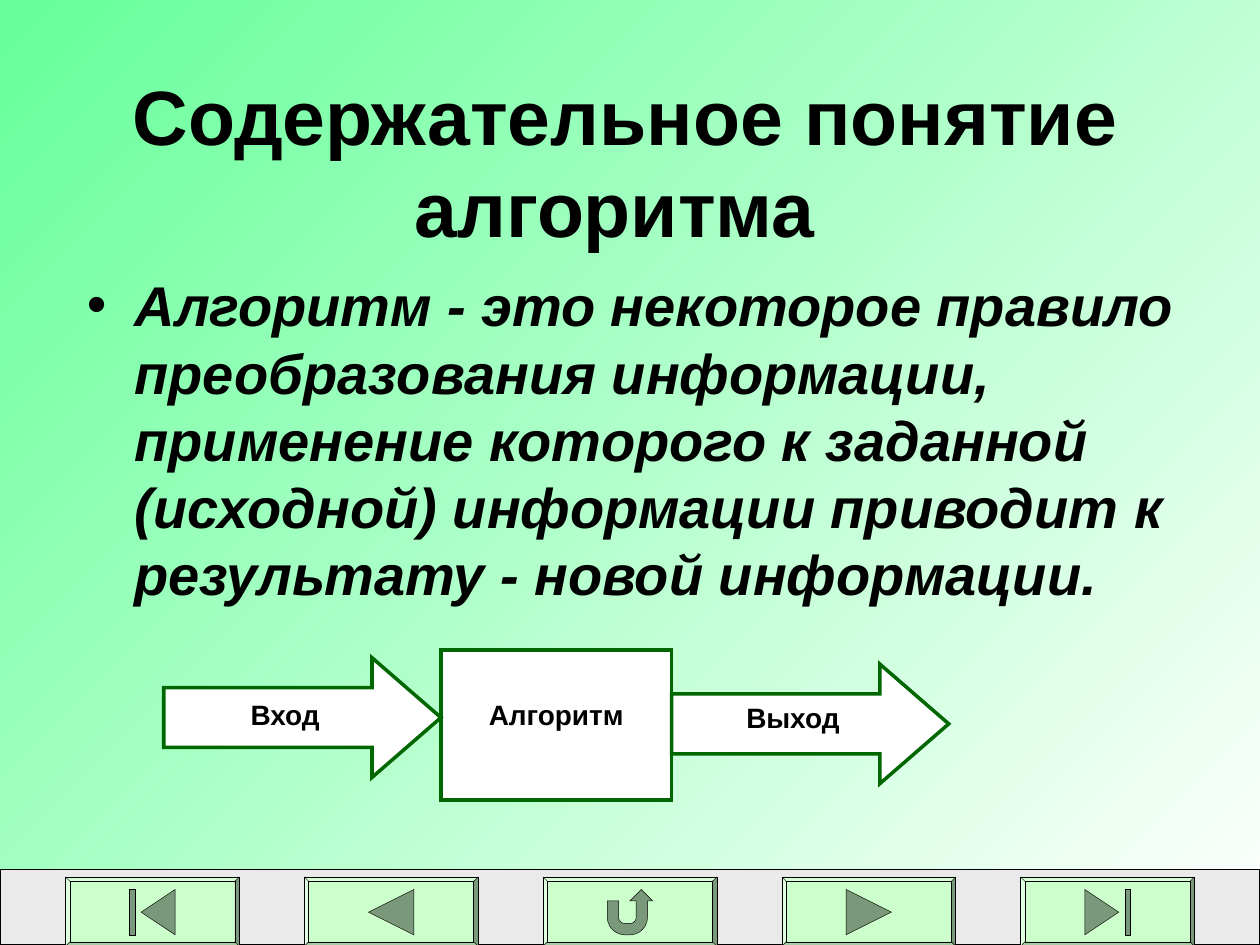
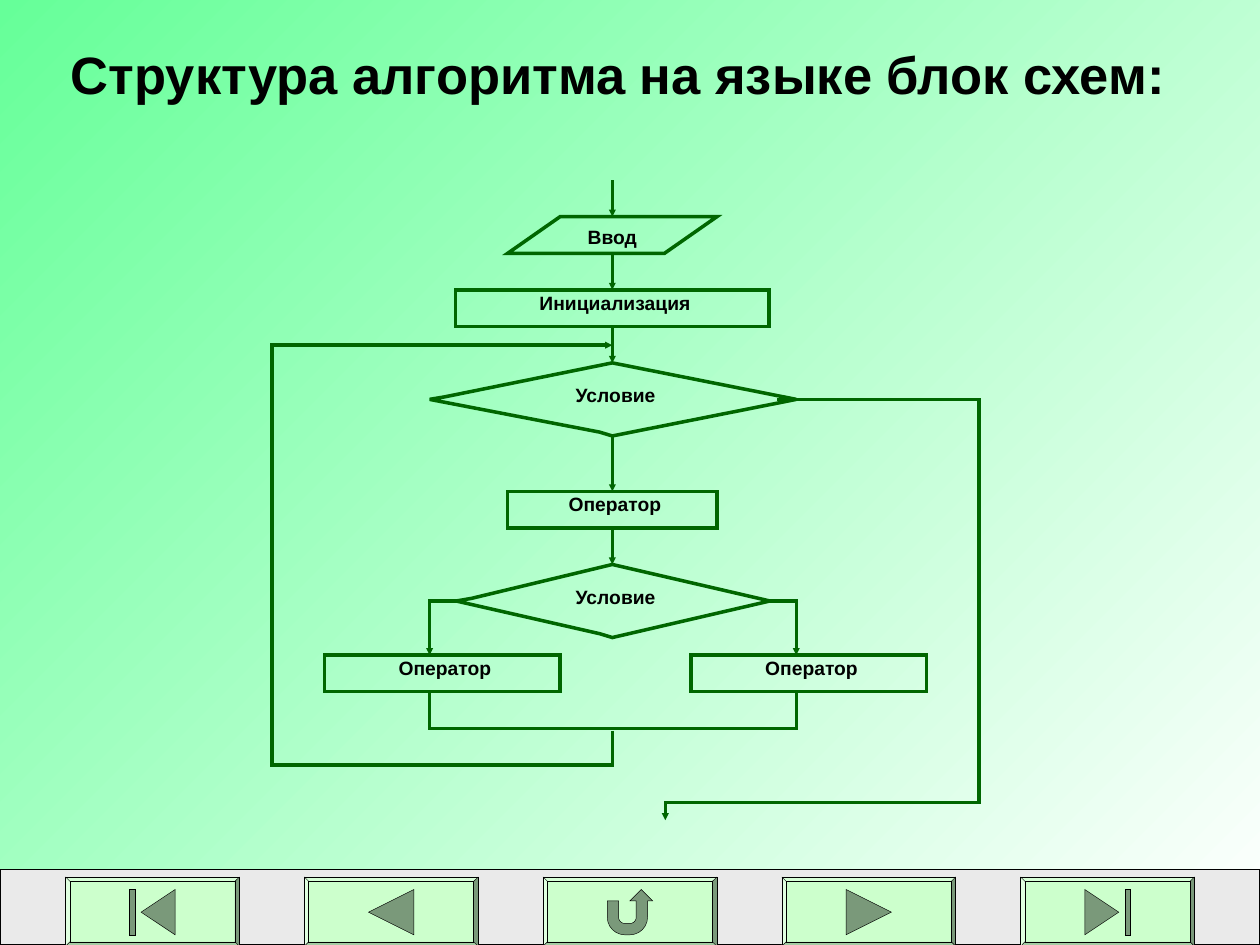
from math import cos, radians, sin

from lxml import etree
from pptx import Presentation
from pptx.dml.color import RGBColor
from pptx.enum.shapes import MSO_CONNECTOR, MSO_SHAPE
from pptx.enum.text import MSO_ANCHOR, PP_ALIGN
from pptx.oxml.ns import qn
from pptx.util import Inches, Pt

RECT = MSO_SHAPE.RECTANGLE
PARALLELOGRAM = MSO_SHAPE.PARALLELOGRAM
RIGHT_ARROW = MSO_SHAPE.RIGHT_ARROW
BEVEL = MSO_SHAPE.BEVEL
STRAIGHT = MSO_CONNECTOR.STRAIGHT
TOP = MSO_ANCHOR.TOP
MIDDLE = MSO_ANCHOR.MIDDLE
CENTER = PP_ALIGN.CENTER
LEFT = PP_ALIGN.LEFT

COLORS = {
    "black": "000000",
    "white": "FFFFFF",
    "mint": "66FF99",
    "outline": "006600",
    "band": "EAEAEA",
    "button": "CCFFCC",
    "icon": "7A997A",
}
AXIS = 4.86
BLOCK_HEIGHT = 0.29


def color(name):
    return RGBColor.from_string(COLORS[name])


def quarter_arc(x, y, radius, start, step):
    angles = [radians(start + step * i) for i in range(7)]
    return [(x + radius * cos(a), y + radius * sin(a)) for a in angles]


def mirrored(outlines):
    return [[(-x, y) for x, y in outline] for outline in outlines]


BACK = [[(-0.18, 0), (0.18, -0.18), (0.18, 0.18)]]
BEGINNING = [
    [(-0.09, 0), (0.18, -0.18), (0.18, 0.18)],
    [(-0.18, -0.18), (-0.14, -0.18), (-0.14, 0.18), (-0.18, 0.18)],
]
RETURN = [[
    (-0.18, -0.09), (-0.09, -0.09),
    *quarter_arc(-0.04, 0.04, 0.05, 180, -15),
    *quarter_arc(0, 0.04, 0.05, 90, -15),
    (0.05, -0.09), (0, -0.09), (0.09, -0.18), (0.18, -0.09), (0.14, -0.09),
    *quarter_arc(0, 0.04, 0.14, 0, 15),
    *quarter_arc(-0.04, 0.04, 0.14, 90, 15),
]]
NAVIGATION = [BEGINNING, BACK, RETURN, mirrored(BACK), mirrored(BEGINNING)]


class Deck:
    font = "Arial"
    stroke = 2

    def __init__(self):
        self.prs = Presentation()
        self.prs.slide_width = Inches(10)
        self.prs.slide_height = Inches(7.5)
        self.slide = None

    def new_slide(self, title, top, height, size):
        self.slide = self.prs.slides.add_slide(self.prs.slide_layouts[6])
        fill = self.slide.background.fill
        fill.gradient()
        fill.gradient_angle = 135
        for stop, name in zip(fill.gradient_stops, ("white", "mint")):
            stop.color.rgb = color(name)
        self.text_box((0.43, top, 9.07, height), [(title, size)], anchor=MIDDLE)
        self.navigation()

    def navigation(self):
        self.shape(RECT, (0, 6.9, 10, 0.6), "band", "black", 0.75)
        for i, outlines in enumerate(NAVIGATION):
            left = 0.52 + 1.895 * i
            self.shape(BEVEL, (left, 6.96, 1.38, 0.55), "button", "black", 0.25, [0.064])
            for outline in outlines:
                points = [(left + 0.69 + x, 7.24 + y) for x, y in outline]
                self.outline(points, True, "icon", "black", 0.25)

    def paint(self, shape, fill, line, width, arrow=False):
        shape.shadow.inherit = False
        if fill:
            shape.fill.solid()
            shape.fill.fore_color.rgb = color(fill)
        else:
            shape.fill.background()
        self.stroke_line(shape, line, width, arrow)

    def stroke_line(self, shape, line, width, arrow):
        shape.line.color.rgb = color(line)
        shape.line.width = Pt(width)
        ln = shape._element.spPr.find(qn("a:ln"))
        etree.SubElement(ln, qn("a:miter"), lim="800000")
        if arrow:
            etree.SubElement(ln, qn("a:tailEnd"), type="triangle", w="sm", len="sm")

    def shape(self, kind, box, fill=None, line="outline", width=stroke, adjustments=()):
        shape = self.slide.shapes.add_shape(kind, *map(Inches, box))
        for i, value in enumerate(adjustments):
            shape.adjustments[i] = value
        self.paint(shape, fill, line, width)
        return shape

    def outline(self, points, closed, fill=None, line="outline", width=stroke, arrow=False):
        corners = [(Inches(x), Inches(y)) for x, y in points]
        builder = self.slide.shapes.build_freeform(*corners[0])
        builder.add_line_segments(corners[1:], close=closed)
        self.paint(builder.convert_to_shape(), fill, line, width, arrow)

    def label(self, shape, runs, inset=(0.1, 0.05), align=CENTER, anchor=TOP, italic=False):
        frame = shape.text_frame
        frame.word_wrap = True
        frame.vertical_anchor = anchor
        frame.margin_left = frame.margin_right = Inches(inset[0])
        frame.margin_top = frame.margin_bottom = Inches(inset[1])
        paragraph = frame.paragraphs[0]
        paragraph.alignment = align
        for text, size, *font in runs:
            run = paragraph.add_run()
            run.text = text
            run.font.name = font[0] if font else self.font
            run.font.size = Pt(size)
            run.font.bold = True
            run.font.italic = italic
            run.font.color.rgb = color("black")
        return paragraph

    def text_box(self, box, runs, **style):
        return self.label(self.slide.shapes.add_textbox(*map(Inches, box)), runs, **style)

    def bulleted(self, box, text, size):
        paragraph = self.text_box(box, [(text, size)], align=LEFT, italic=True)
        paragraph.space_before = Pt(8)
        properties = paragraph._p.get_or_add_pPr()
        properties.set("marL", str(Inches(0.38)))
        properties.set("indent", str(Inches(-0.38)))
        etree.SubElement(properties, qn("a:buFont"), typeface=self.font)
        etree.SubElement(properties, qn("a:buChar"), char="•")

    def block(self, text, middle, top, width, kind=RECT, adjustments=()):
        box = (middle - width / 2, top, width, BLOCK_HEIGHT)
        shape = self.shape(kind, box, adjustments=adjustments)
        self.label(shape, [(text, 11)], inset=(0.01, 0.01))
        return shape

    def condition(self, left, right, y):
        self.outline([
            (left, y), (left + 0.12, y - 0.02), (AXIS, y - 0.29),
            (right, y), (AXIS, y + 0.29), (AXIS - 0.1, y + 0.26),
        ], True)
        self.text_box((4.24, y - 0.15, 1.25, BLOCK_HEIGHT),
                      [(" ", 12, "Times New Roman"), ("Условие", 11)], inset=(0.01, 0.01))

    def flow(self, top, bottom, source=None, target=None):
        ends = map(Inches, (AXIS, top, AXIS, bottom))
        arrow = self.slide.shapes.add_connector(STRAIGHT, *ends)
        if source:
            arrow.begin_connect(source, 2)
        if target:
            arrow.end_connect(target, 0)
        self.stroke_line(arrow, "outline", self.stroke, arrow=True)
        etree.SubElement(arrow._element.spPr, qn("a:effectLst"))


def concept_slide(deck):
    deck.new_slide("Содержательное понятие алгоритма ", 0.3, 1.95, 44)
    deck.bulleted(
        (0.59, 2.1, 8.98, 3.62),
        "Алгоритм - это некоторое правило преобразования информации, "
        "применение которого к заданной (исходной) информации приводит "
        "к результату - новой информации.", 32)
    algorithm = deck.shape(RECT, (3.5, 5.16, 1.83, 1.19), "white")
    deck.label(algorithm, [("Алгоритм", 16)], inset=(0.1, 0.38))
    for text, left, top, spacing, before in (
            ("Вход", 1.3, 5.22, 1.1, 5), ("Выход", 5.33, 5.27, 1.0, 0)):
        arrow = deck.shape(RIGHT_ARROW, (left, top, 2.2, 0.95), "white",
                           adjustments=[0.5, 0.576])
        paragraph = deck.label(arrow, [(text, 16)])
        paragraph.line_spacing = spacing
        paragraph.space_before = Pt(before)


def flowchart_slide(deck):
    deck.new_slide("Структура алгоритма на языке блок схем: ", 0.16, 0.84, 30)
    deck.block("Ввод", AXIS, 1.72, 1.66, PARALLELOGRAM, [1.431])
    setup = deck.block(" Инициализация", AXIS, 2.3, 2.49)
    operator = deck.block(" Оператор", AXIS, 3.9, 1.66)
    branches = (3.41, 6.32)
    for middle in branches:
        deck.block(" Оператор", middle + 0.1, 5.2, 1.87)
    deck.condition(*branches, 3.17)
    deck.condition(3.62, 6.11, 4.77)

    deck.flow(1.43, 1.72)
    deck.flow(2.01, 2.3, target=setup)
    deck.flow(2.59, 2.88, source=setup)
    deck.flow(3.46, 3.9, target=operator)
    deck.flow(4.19, 4.48, source=operator)

    loop_back = [(AXIS, 5.8), (AXIS, 6.07), (2.16, 6.07), (2.16, 2.74), (AXIS, 2.74)]
    loop_exit = [(6.17, 3.17), (7.77, 3.17), (7.77, 6.37), (5.28, 6.37), (5.28, 6.51)]
    to_left = [(3.62, 4.77), (3.41, 4.77), (3.41, 5.2)]
    to_right = [(6.11, 4.77), (6.32, 4.77), (6.32, 5.2)]
    for route in (loop_back, loop_exit, to_left, to_right):
        deck.outline(route, False, arrow=True)
    deck.outline([(3.41, 5.49), (3.41, 5.78), (6.32, 5.78), (6.32, 5.49)], False)


def main():
    deck = Deck()
    concept_slide(deck)
    flowchart_slide(deck)
    deck.prs.save("out.pptx")


if __name__ == "__main__":
    main()
